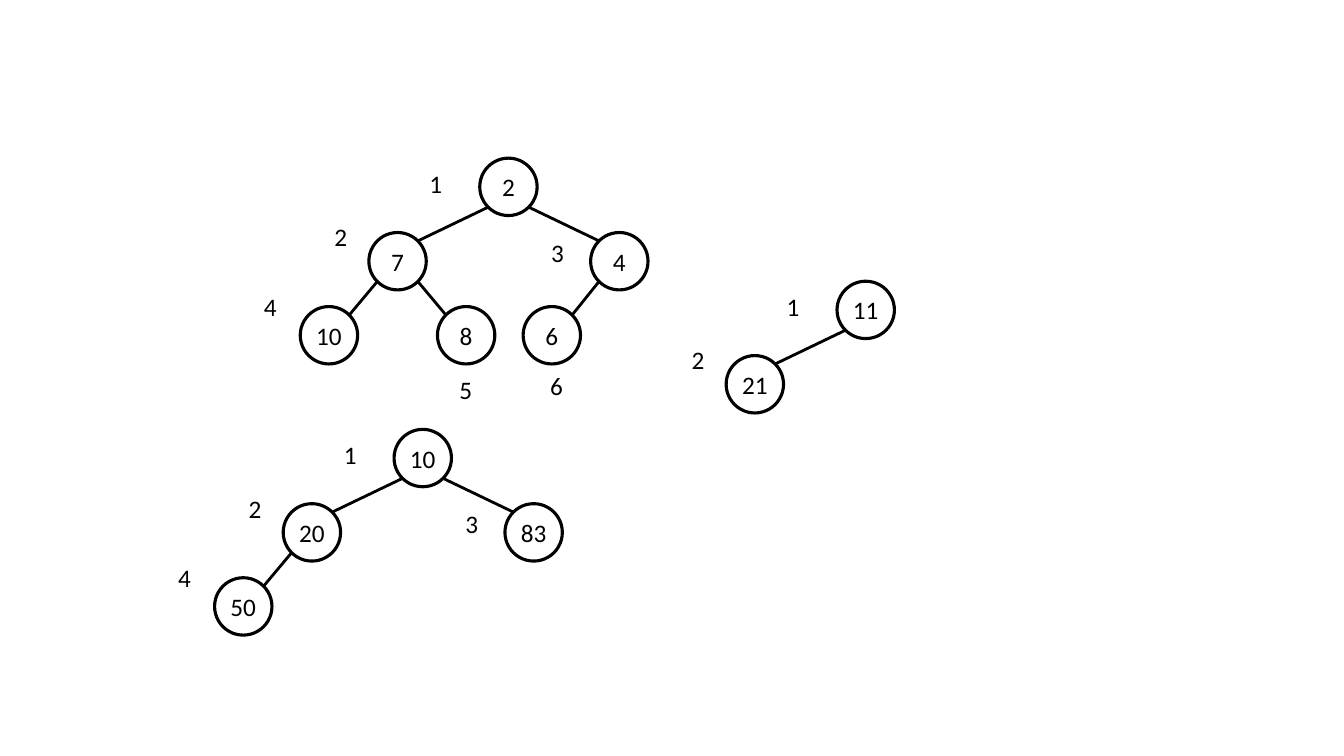
from math import sqrt

from lxml import etree
from pptx import Presentation
from pptx.dml.color import RGBColor
from pptx.enum import shapes, text
from pptx.oxml import ns
from pptx.util import Pt

BLACK = RGBColor(0, 0, 0)
WHITE = RGBColor(255, 255, 255)

DIAMETER = 41
NEAR = DIAMETER * (1 - sqrt(0.5)) / 2
FAR = DIAMETER - NEAR

NODE_OFFSETS = {
    1: (0, 0),
    2: (-79.2, 53.1),
    3: (79.2, 53.1),
    4: (-128.2, 106),
    5: (-30.2, 106),
    6: (31, 106),
}
INDEX_OFFSETS = {
    1: (-43, 3.6),
    2: (-111, 41.8),
    3: (43.9, 53.1),
    4: (-161.3, 91.4),
    5: (-21.6, 150.5),
    6: (43.2, 148.3),
}
HEAPS = [
    ((342.7, 113), [2, 7, 4, 10, 8, 6]),
    ((281.5, 306.7), [10, 20, 83, 50]),
    ((597.9, 200.9), [11, 21]),
]

FONT_FORMAT = {"name": "Calibri", "size": Pt(18)}
NODE_FRAME = {
    "margin_left": 0,
    "margin_top": 0,
    "margin_right": 0,
    "margin_bottom": 0,
    "vertical_anchor": text.MSO_ANCHOR.MIDDLE,
}
INDEX_FRAME = {"word_wrap": False, "auto_size": text.MSO_AUTO_SIZE.SHAPE_TO_FIT_TEXT}


def apply_format(target, values):
    for name, value in values.items():
        setattr(target, name, value)


def write_text(shape, content, frame_format, alignment):
    frame = shape.text_frame
    apply_format(frame, frame_format)
    paragraph = frame.paragraphs[0]
    paragraph.alignment = alignment
    run = paragraph.add_run()
    run.text = str(content)
    apply_format(run.font, FONT_FORMAT)
    run.font.color.rgb = BLACK


def style_line(line, width):
    line.color.rgb = BLACK
    line.width = Pt(width)


def add_node(slide, left, top, key):
    node = slide.shapes.add_shape(
        shapes.MSO_SHAPE.OVAL, Pt(left), Pt(top), Pt(DIAMETER), Pt(DIAMETER)
    )
    node.shadow.inherit = False
    node.fill.solid()
    node.fill.fore_color.rgb = WHITE
    style_line(node.line, 2.25)
    write_text(node, key, NODE_FRAME, text.PP_ALIGN.CENTER)


def add_index(slide, left, top, index):
    label = slide.shapes.add_textbox(Pt(left), Pt(top), Pt(23.8), Pt(29))
    write_text(label, index, INDEX_FRAME, text.PP_ALIGN.LEFT)


def add_edge(slide, parent, child, is_left):
    start_x, end_x = (NEAR, FAR) if is_left else (FAR, NEAR)
    edge = slide.shapes.add_connector(
        shapes.MSO_CONNECTOR.STRAIGHT,
        Pt(parent[0] + start_x),
        Pt(parent[1] + FAR),
        Pt(child[0] + end_x),
        Pt(child[1] + NEAR),
    )
    style_line(edge.line, 2)
    etree.SubElement(edge._element.spPr, ns.qn("a:effectLst"))


def add_heap(slide, root, keys):
    def place(offset):
        return root[0] + offset[0], root[1] + offset[1]

    for index, key in enumerate(keys, start=1):
        position = place(NODE_OFFSETS[index])
        add_node(slide, *position, key)
        add_index(slide, *place(INDEX_OFFSETS[index]), index)
        if index > 1:
            parent = place(NODE_OFFSETS[index // 2])
            add_edge(slide, parent, position, index % 2 == 0)


def main():
    presentation = Presentation()
    presentation.slide_width = Pt(960)
    presentation.slide_height = Pt(540)
    slide = presentation.slides.add_slide(presentation.slide_layouts[6])
    for root, keys in HEAPS:
        add_heap(slide, root, keys)
    presentation.save("out.pptx")


if __name__ == "__main__":
    main()
